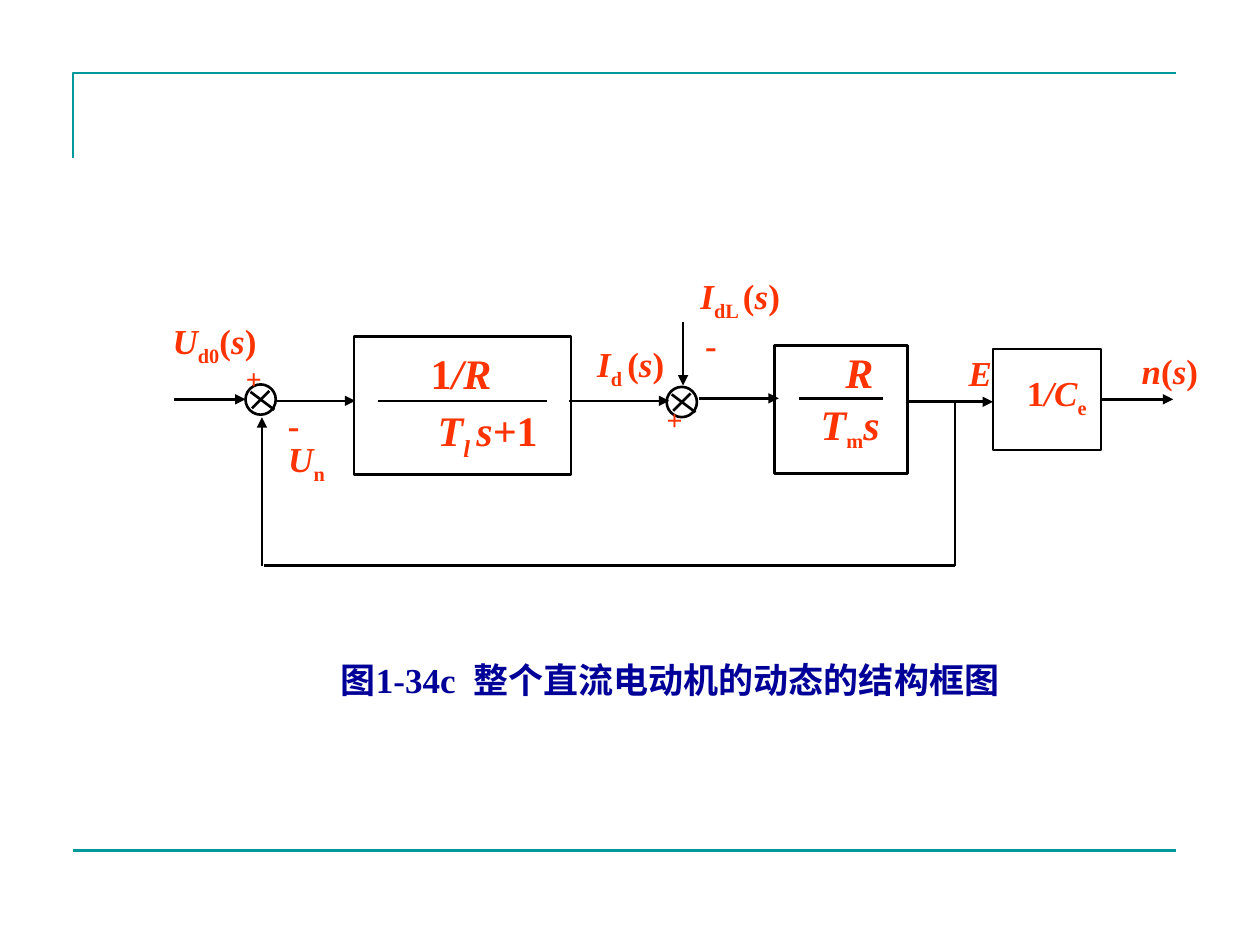
"""Build a slide with the dynamic block diagram of a DC motor."""
from typing import NamedTuple

from lxml import etree
from pptx import Presentation
from pptx.dml.color import RGBColor
from pptx.enum.shapes import MSO_CONNECTOR, MSO_SHAPE
from pptx.enum.text import PP_ALIGN
from pptx.oxml.ns import qn
from pptx.util import Cm, Pt

STRAIGHT = MSO_CONNECTOR.STRAIGHT
RECTANGLE = MSO_SHAPE.RECTANGLE
OVAL = MSO_SHAPE.OVAL
CENTER = PP_ALIGN.CENTER
FONT = "Times New Roman"
COLORS = {"frame": "009999", "caption": "000099", "label": "FF3300", "ink": "000000"}
LINE_WIDTH = 1.5
JUNCTION_SIZE = 0.61


class Span(NamedTuple):
    text: str
    italic: bool = False
    subscript: bool = False
    size: float | None = None


class Label(NamedTuple):
    left: float
    top: float
    width: float
    height: float
    spans: list[Span]
    size: float = 20
    color: str = "label"
    wrap: bool = True


class Line(NamedTuple):
    x1: float
    y1: float
    x2: float
    y2: float
    arrow: bool = False
    color: str = "ink"


class Block(NamedTuple):
    left: float
    top: float
    width: float
    height: float


OF_S = [Span("("), Span("s", italic=True), Span(")")]

BLOCKS = [
    Block(7.14, 6.78, 4.37, 2.79),
    Block(15.62, 6.96, 2.67, 2.59),
    Block(20.02, 7.04, 2.18, 2.03),
]
JUNCTIONS = [(4.95, 7.75), (13.44, 7.8)]
LINES = [
    Line(1.47, 17.15, 23.7, 17.15, color="frame"),
    Line(3.51, 8.05, 4.95, 8.05, arrow=True),
    Line(5.56, 8.08, 7.16, 8.08, arrow=True),
    Line(11.48, 8.08, 13.49, 8.08, arrow=True),
    Line(14.1, 8.03, 15.7, 8.03, arrow=True),
    Line(18.31, 8.1, 20.02, 8.1, arrow=True),
    Line(22.2, 8.05, 23.65, 8.05, arrow=True),
    Line(13.77, 6.5, 13.77, 7.77, arrow=True),
    Line(5.28, 11.4, 5.28, 8.41, arrow=True),
    Line(19.25, 11.4, 5.33, 11.4),
    Line(19.25, 11.4, 19.25, 8.1),
    Line(7.62, 8.08, 11.02, 8.08),
    Line(16.1, 8.03, 17.81, 8.03),
]
LABELS = [
    Label(6.45, 13.16, 14.12, 1.12, [Span("图1-34c  整个直流电动机的动态的结构框图")],
          color="caption", wrap=False),
    Label(3.12, 6.32, 2.41, 1.22, [Span("U", True), Span("d0", subscript=True), *OF_S]),
    Label(5.23, 8.69, 1.9, 1.22, [Span("U", True), Span("n", subscript=True)]),
    Label(11.38, 6.78, 2.67, 1.22, [Span("I", True), Span("d ", subscript=True), *OF_S]),
    Label(13.56, 5.41, 2.9, 1.22,
          [Span("I", True), Span("dL ", subscript=True), *OF_S, Span(" ")]),
    Label(18.8, 6.96, 1.93, 1.12, [Span("E", True)]),
    Label(22.25, 6.93, 2.67, 1.12, [Span("n", True), *OF_S]),
    Label(4.27, 7.16, 1.7, 0.94, [Span("+")], size=16),
    Label(12.75, 8, 1.7, 0.94, [Span("+")], size=16),
    Label(5.31, 8, 1.22, 1.12, [Span("-")]),
    Label(13.72, 6.4, 1.22, 1.12, [Span("-")]),
    Label(8.1, 6.88, 2.18, 1.27, [Span(" 1"), Span("/R", True)], size=24),
    Label(7.67, 8.03, 4.11, 1.42,
          [Span(" T", True), Span("l ", True, True), Span("s+", True), Span("1")], size=24),
    Label(16.13, 6.86, 2.18, 1.27, [Span(" R", True)], size=24),
    Label(15.7, 7.9, 2.67, 1.37,
          [Span(" T", True), Span("m", subscript=True, size=20), Span("s", True)], size=24),
    Label(20.02, 7.37, 2.39, 1.22,
          [Span(" 1"), Span("/C", True), Span("e", subscript=True)]),
]


def rgb(name: str) -> RGBColor:
    """Return the named colour."""
    return RGBColor.from_string(COLORS[name])


def style_outline(shape, color: str = "ink") -> None:
    """Leave a shape unfilled, with a plain outline."""
    shape.shadow.inherit = False
    shape.fill.background()
    shape.line.color.rgb = rgb(color)
    shape.line.width = Pt(LINE_WIDTH)


def draw_shape(shapes, kind: int, block: Block) -> None:
    """Draw an outlined preset shape."""
    style_outline(shapes.add_shape(kind, *map(Cm, block)))


def draw_line(shapes, line: Line) -> None:
    """Draw a straight line, with an arrowhead at its end if wanted."""
    connector = shapes.add_connector(STRAIGHT, *map(Cm, line[:4]))
    connector.line.color.rgb = rgb(line.color)
    connector.line.width = Pt(LINE_WIDTH)
    if line.arrow:
        etree.SubElement(connector.line._get_or_add_ln(), qn("a:tailEnd"), type="triangle")
    etree.SubElement(connector._element.spPr, qn("a:effectLst"))


def draw_junction(shapes, left: float, top: float) -> None:
    """Draw a summing junction: a circle with a cross in it."""
    draw_shape(shapes, OVAL, Block(left, top, JUNCTION_SIZE, JUNCTION_SIZE))
    draw_line(shapes, Line(left + 0.1, top + 0.15, left + 0.58, top + 0.51))
    draw_line(shapes, Line(left + 0.13, top + 0.48, left + 0.48, top + 0.13))


def draw_label(shapes, label: Label) -> None:
    """Write a centred bold label span by span."""
    box = shapes.add_textbox(*map(Cm, label[:4]))
    box.text_frame.word_wrap = label.wrap
    para = box.text_frame.paragraphs[0]
    para.alignment = CENTER
    for span in label.spans:
        run = para.add_run()
        run.text = span.text
        run.font.name = FONT
        run.font.size = Pt(span.size or label.size)
        run.font.bold = True
        run.font.italic = span.italic
        run.font.color.rgb = rgb(label.color)
        if span.subscript:
            run._r.get_or_add_rPr().set("baseline", "-25000")


def draw_corner(shapes) -> None:
    """Draw the corner line at the top of the slide."""
    builder = shapes.build_freeform(Cm(1.47), Cm(3.18))
    builder.add_line_segments([(Cm(1.47), Cm(1.47)), (Cm(23.7), Cm(1.47))], close=False)
    style_outline(builder.convert_to_shape(), "frame")


def main() -> None:
    """Build and save the deck."""
    deck = Presentation()
    deck.slide_width, deck.slide_height = Cm(25.4), Cm(19.05)
    shapes = deck.slides.add_slide(deck.slide_layouts[6]).shapes
    draw_corner(shapes)
    for block in BLOCKS:
        draw_shape(shapes, RECTANGLE, block)
    for line in LINES:
        draw_line(shapes, line)
    for left, top in JUNCTIONS:
        draw_junction(shapes, left, top)
    for label in LABELS:
        draw_label(shapes, label)
    deck.save("out.pptx")


if __name__ == "__main__":
    main()
